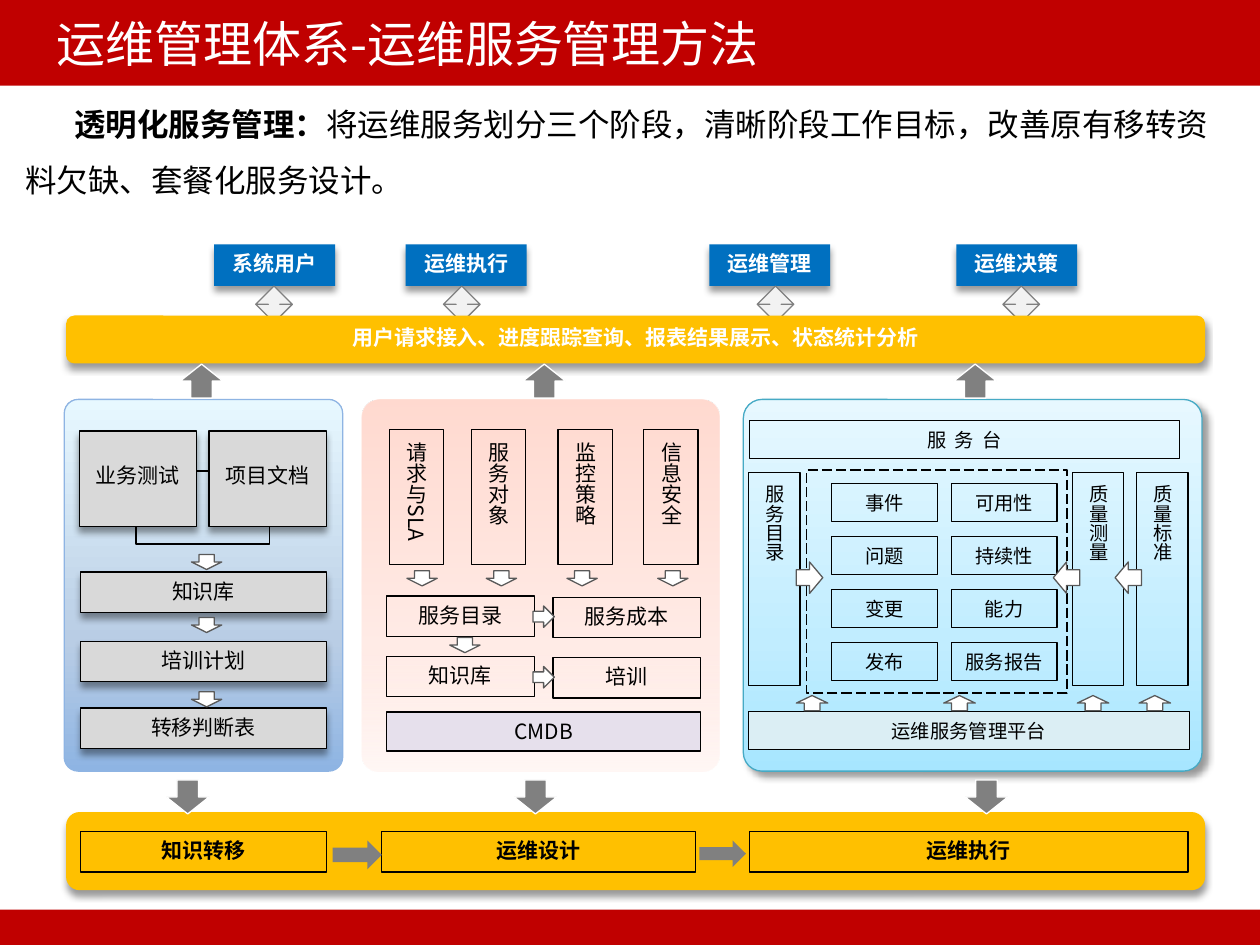
from lxml.etree import SubElement
from pptx import Presentation
from pptx.dml.color import RGBColor
from pptx.enum.dml import MSO_LINE as Dash
from pptx.enum.shapes import MSO_SHAPE as Form
from pptx.enum.text import MSO_ANCHOR as Anchor, MSO_AUTO_SIZE as Auto, PP_ALIGN as Align
from pptx.oxml.ns import qn
from pptx.util import Inches, Pt

FONT = "Noto Sans CJK SC"
RED = RGBColor(0xC0, 0x00, 0x00)
GOLD = RGBColor(0xFF, 0xC0, 0x00)
BLUE = RGBColor(0x00, 0x70, 0xC0)
BLACK = RGBColor(0x00, 0x00, 0x00)
WHITE = RGBColor(0xFF, 0xFF, 0xFF)
PALE = RGBColor(0xF2, 0xF2, 0xF2)
SILVER = RGBColor(0xD9, 0xD9, 0xD9)
GRAY = RGBColor(0x80, 0x80, 0x80)
DARK = RGBColor(0x59, 0x59, 0x59)
LILAC = RGBColor(0xE6, 0xE0, 0xEC)
ICE = RGBColor(0xDB, 0xEE, 0xF4)
SKY = RGBColor(0x8E, 0xB4, 0xE3)
TEAL = RGBColor(0x46, 0xAA, 0xC5)

deck = Presentation()
deck.slide_width, deck.slide_height = Inches(10), Inches(7.5)
COL, ROW = deck.slide_width // 1000, deck.slide_height // 750  # grid of 1000 x 750
slide = deck.slides.add_slide(deck.slide_layouts[5])


def style(para, size, color, bold=None):
    font = para.font
    font.size, font.bold, font.name = Pt(size), bold, FONT
    font.color.rgb = color
    base = para._p.pPr.find(qn("a:defRPr"))
    SubElement(base, qn("a:ea"), typeface=FONT)
    return base


def box(x, y, w, h, form=Form.RECTANGLE, fill=None, line=BLACK, text="", size=12,
        color=BLACK, bold=False, anchor=Anchor.TOP, vert=False, shade=None):
    shape = slide.shapes.add_shape(form, x * COL, y * ROW, w * COL, h * ROW)
    shape.shadow.inherit = False
    if fill is None:
        shape.fill.background()
    else:
        shape.fill.solid()
        shape.fill.fore_color.rgb = fill
    if line is None:
        shape.line.fill.background()
    else:
        shape.line.color.rgb = line
        shape.line.width = Pt(0.75)
    if shade:  # distance in points, angle in degrees
        glow = SubElement(shape.element.spPr.find(qn("a:effectLst")), qn("a:outerShdw"),
                          blurRad=str(Pt(4)), dist=str(Pt(shade[0])),
                          dir=str(shade[1] * 60000), algn="ctr", rotWithShape="0")
        tint = SubElement(glow, qn("a:srgbClr"), val="000000")
        SubElement(tint, qn("a:alpha"), val="40000")
    if text:
        frame = shape.text_frame
        frame.word_wrap = True
        frame.margin_left = frame.margin_right = 0
        frame.margin_top = frame.margin_bottom = 5 * ROW
        frame.vertical_anchor = anchor
        if vert:
            frame._txBody.bodyPr.set("vert", "eaVert")
        para = frame.paragraphs[0]
        para.text, para.alignment = text, Align.CENTER
        style(para, size, color, bold)
    return shape


DROP = (3, 90)

# Title and bands
band = box(0, 0, 1000, 68, fill=RED, line=None)
box(0, 722, 1000, 28, fill=RED, line=None)
title = slide.shapes.title
title.element.addprevious(band.element)
title.left, title.top, title.width, title.height = 35 * COL, 0, 929 * COL, 68 * ROW
title.text_frame.auto_size = Auto.NONE
title.text_frame.vertical_anchor = Anchor.MIDDLE
head = title.text_frame.paragraphs[0]
head.text, head.alignment = "运维管理体系-运维服务管理方法", Align.LEFT
style(head, 28, WHITE)

# Lead text
lead = slide.shapes.add_textbox(20 * COL, 68 * ROW, 953 * COL, 91 * ROW).text_frame
lead.word_wrap = True
lead.margin_left = lead.margin_right = lead.margin_top = lead.margin_bottom = 0
para = lead.paragraphs[0]
para.line_spacing = 1.5
run = para.add_run()
run.text, run.font.bold = "透明化服务管理：", True
para.add_run().text = "将运维服务划分三个阶段，清晰阶段工作目标，改善原有移转资料欠缺、套餐化服务设计。"
style(para, 18, BLACK)
para._p.pPr.set("indent", str(39 * COL))

# Three stage panels: stops run from bottom to top
for x, w, edge, shade, stops in (
    (51, 221, SKY, None, ("8EB4E3", "B9CDE5", "E7F8FF")),
    (287, 284, None, None, ("FFE5DE", "FFEBE6", "FFD9CF")),
    (590, 364, TEAL, (4, 45), ("A7E6FF", "C1EDFF", "E7F8FF")),
):
    panel = box(x, 317, w, 295, Form.ROUNDED_RECTANGLE, line=edge, shade=shade)
    panel.adjustments[0] = 0.05
    panel.fill.gradient()
    panel.fill.gradient_angle = 90
    ramp = panel.element.spPr.find(qn("a:gradFill")).find(qn("a:gsLst"))
    for stop in list(ramp):
        ramp.remove(stop)
    for spot, code in zip((0, 35, 100), stops):
        stop = SubElement(ramp, qn("a:gs"), pos=str(spot * 1000))
        tint = SubElement(stop, qn("a:srgbClr"), val=code)
        if code == "FFE5DE":
            SubElement(tint, qn("a:alpha"), val="29000")

# User roles and access bar
for x, mid, text in ((170, 203, "系统用户"), (322, 352, "运维执行"),
                     (563, 601, "运维管理"), (759, 796, "运维决策")):
    box(x, 194, 96, 33, fill=BLUE, line=None, text=text, color=WHITE, bold=True, shade=DROP)
    link = box(mid, 227, 29, 29, Form.UP_DOWN_ARROW, PALE, GRAY)
    link.adjustments[0], link.adjustments[1] = 0.51, 0.31
box(53, 251, 903, 37, Form.ROUNDED_RECTANGLE, GOLD, GOLD, color=WHITE, bold=True, shade=DROP,
    text="用户请求接入、进度跟踪查询、报表结果展示、状态统计分析")

# Result bar with the stage names
box(53, 645, 903, 61, Form.ROUNDED_RECTANGLE, GOLD, GOLD, shade=DROP)
for x, w, text in ((64, 195, "知识转移"), (303, 249, "运维设计"), (595, 348, "运维执行")):
    box(x, 660, w, 32, text=text, bold=True)
for x, w, h in ((264, 39, 23), (555, 37, 21)):
    box(x, 667, w, h, Form.RIGHT_ARROW, GRAY, None)
for up, down in ((143, 132), (415, 408), (757, 766)):
    box(up, 289, 34, 27, Form.UP_ARROW, GRAY, WHITE)
    box(down, 619, 34, 27, Form.DOWN_ARROW, GRAY, WHITE)

# Stage 1: knowledge transfer
box(108, 374, 106, 58).line.width = Pt(1)
for x, text in ((63, "业务测试"), (166, "项目文档")):
    card = box(x, 342, 93, 76, fill=SILVER, text=text, shade=DROP)
    card.text_frame.margin_top = 25 * ROW
for y, tip, text in ((454, 440, "知识库"), (509, 490, "培训计划"), (562, 549, "转移判断表")):
    box(64, y, 195, 32, fill=SILVER, text=text, shade=DROP)
    box(152, tip, 24, 12, Form.DOWN_ARROW, WHITE, DARK)

# Stage 2: service design
for x, tip, text in ((309, 323, "请求与SLA"), (374, 386, "服务对象"),
                     (443, 450, "监控策略"), (511, 522, "信息安全")):
    box(x, 341, 43, 107, text=text, anchor=Anchor.MIDDLE, vert=True)
    box(tip, 453, 24, 12, Form.DOWN_ARROW, WHITE, DARK)
for y, left, right in ((473, "服务目录", "服务成本"), (521, "知识库", "培训")):
    box(307, y, 117, 32, text=left)
    box(439, y + 1, 117, 32, text=right)
    box(423, y + 8, 17, 17, Form.RIGHT_ARROW, WHITE, DARK)
box(357, 506, 24, 12, Form.DOWN_ARROW, WHITE, DARK)
box(307, 565, 249, 31, fill=LILAC, text="CMDB")

# Stage 3: service operation
desk = box(595, 334, 341, 30, text="服 务 台", size=11, anchor=Anchor.MIDDLE)
desk.text_frame.paragraphs[0]._p.pPr.find(qn("a:defRPr")).set("spc", "120")
box(594, 565, 350, 30, fill=ICE, text="运维服务管理平台", size=11, anchor=Anchor.MIDDLE)
for x, text in ((594, "服务目录"), (851, "质量测量"), (902, "质量标准")):
    box(x, 375, 41, 169, text=text, size=11, anchor=Anchor.MIDDLE, vert=True)
box(640, 373, 207, 177).line.dash_style = Dash.LONG_DASH
for x, names in ((660, ("事件", "问题", "变更", "发布")),
                 (755, ("可用性", "持续性", "能力", "服务报告"))):
    for i, text in enumerate(names):
        box(x, 384 + 42 * i, 84, 30, text=text, size=11, anchor=Anchor.MIDDLE)
for x, form in ((632, Form.RIGHT_ARROW), (836, Form.LEFT_ARROW), (885, Form.LEFT_ARROW)):
    box(x, 446, 21, 25, form, WHITE, DARK)
for x in (632, 749, 855, 904):
    box(x, 552, 25, 12, Form.UP_ARROW, WHITE, DARK)

deck.save("out.pptx")
